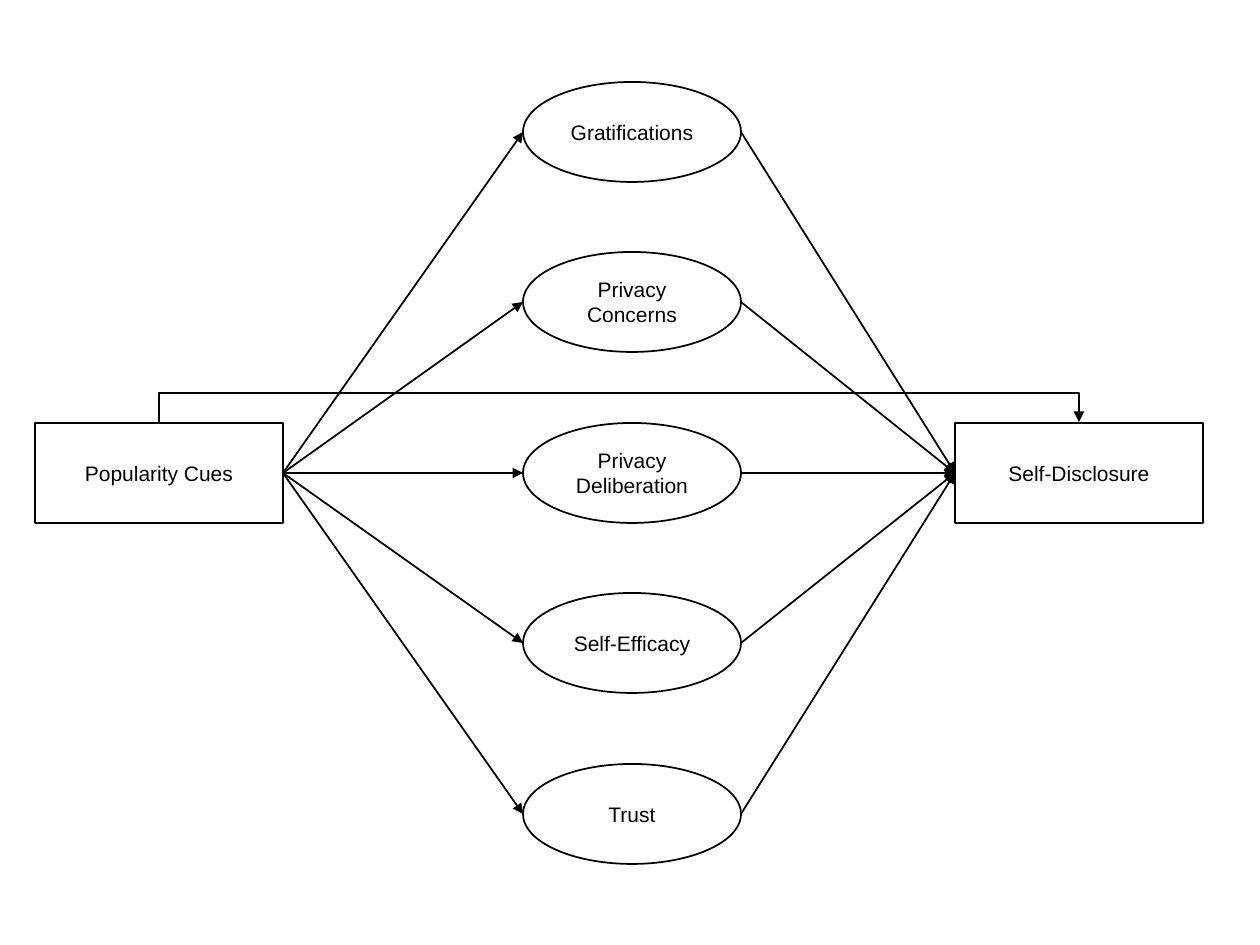
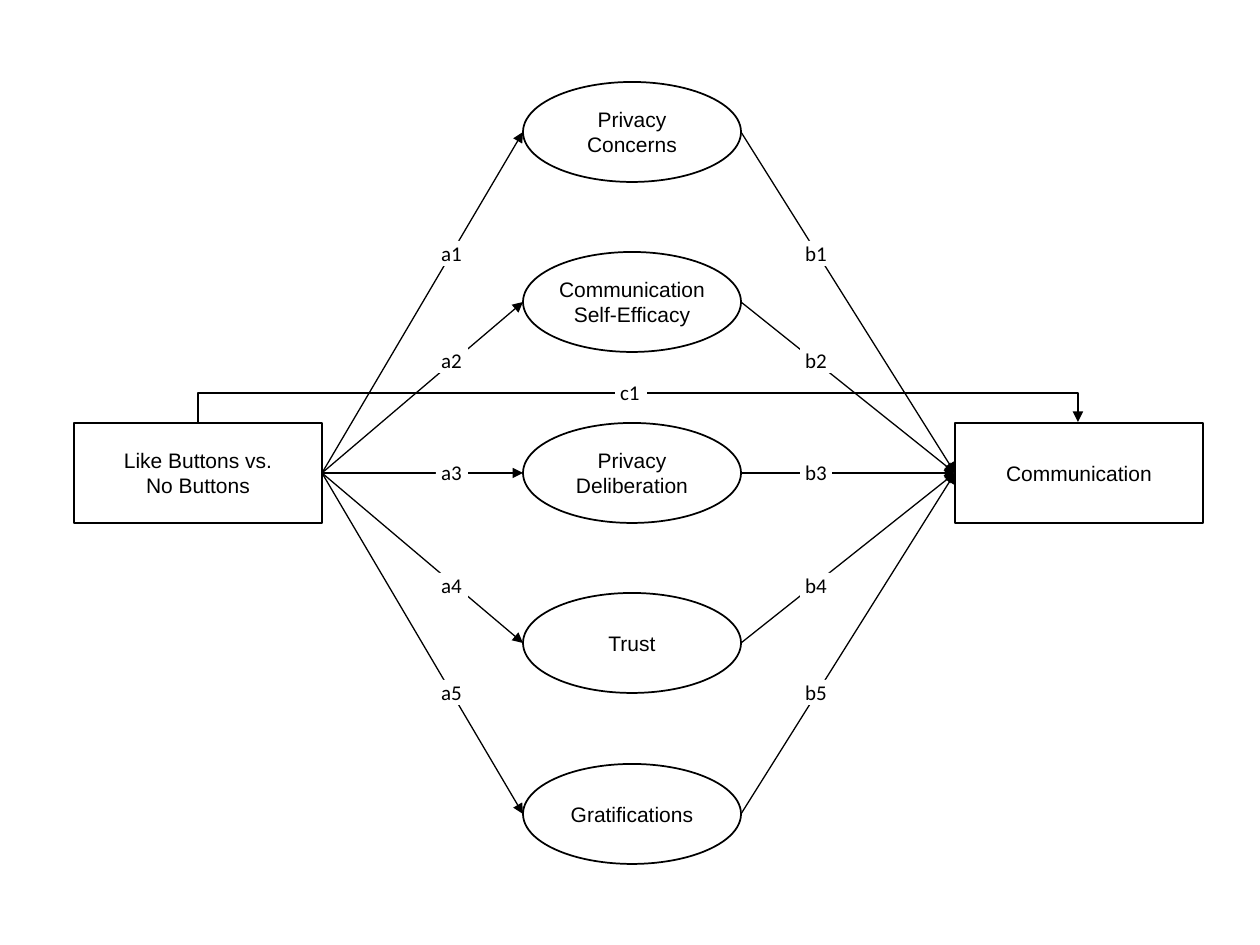
from dataclasses import dataclass

from lxml.etree import SubElement
from pptx import Presentation
from pptx.dml.color import RGBColor
from pptx.enum.shapes import MSO_CONNECTOR, MSO_SHAPE
from pptx.enum.text import MSO_ANCHOR, MSO_AUTO_SIZE, PP_ALIGN
from pptx.oxml.ns import qn
from pptx.shapes.autoshape import Shape
from pptx.shapes.connector import Connector
from pptx.slide import Slide
from pptx.text.text import TextFrame
from pptx.util import Emu, Pt

PX_PER_INCH = 126
SLIDE_W, SLIDE_H = 1260, 945
BLACK = RGBColor(0x00, 0x00, 0x00)
WHITE = RGBColor(0xFF, 0xFF, 0xFF)
NODE_FONT, LABEL_FONT = "Arial", "Calibri"
FONT_SIZE = 12
OUTLINE_PT = 1

NODE_H = 100
BOX_W = 248
OUTCOME_X = 955
MEDIATOR_X, MEDIATOR_W = 523, 218
FIRST_Y, LAST_Y = 132, 814
MIDDLE_Y = (FIRST_Y + LAST_Y) // 2
DIRECT_Y = 393

LABEL_W, LABEL_H, LABEL_INSET = 32, 25, 5
A_LABEL_X, B_LABEL_X, C_LABEL_X = 436, 800, 615
LABEL_TOPS = (241, 348, 460, 573, 680)
C_LABEL_TOP = 380


@dataclass(frozen=True)
class Node:
    paragraphs: tuple[str, ...]
    x: int
    center_y: int
    width: int
    kind: MSO_SHAPE
    inset: int

    @property
    def right(self) -> int:
        return self.x + self.width

    @property
    def center_x(self) -> int:
        return self.x + self.width // 2

    @property
    def top(self) -> int:
        return self.center_y - NODE_H // 2


@dataclass(frozen=True)
class Label:
    text: str
    x: int
    y: int


@dataclass(frozen=True)
class PathModel:
    predictor: Node
    mediators: tuple[Node, ...]
    outcome: Node
    line_pt: float
    labels: tuple[Label, ...] = ()


def px(n: float) -> Emu:
    return Emu(round(n * 914400 / PX_PER_INCH))


def box(x: int, *paragraphs: str) -> Node:
    return Node(paragraphs, x, MIDDLE_Y, BOX_W, MSO_SHAPE.RECTANGLE, 12)


def mediators(*names: str) -> tuple[Node, ...]:
    gaps = len(names) - 1
    return tuple(
        Node((name,), MEDIATOR_X, FIRST_Y + i * (LAST_Y - FIRST_Y) // gaps,
             MEDIATOR_W, MSO_SHAPE.OVAL, 0)
        for i, name in enumerate(names)
    )


def path_labels() -> tuple[Label, ...]:
    columns = (("a", A_LABEL_X), ("b", B_LABEL_X))
    sides = tuple(
        Label(f"{letter}{i}", x, y)
        for letter, x in columns
        for i, y in enumerate(LABEL_TOPS, 1)
    )
    return sides + (Label("c1", C_LABEL_X, C_LABEL_TOP),)


def add_base(s: Slide, kind: MSO_SHAPE, x: int, y: int, w: int, h: int) -> Shape:
    sp = s.shapes.add_shape(kind, px(x), px(y), px(w), px(h))
    sp.shadow.inherit = False
    sp.fill.solid()
    sp.fill.fore_color.rgb = WHITE
    return sp


def write(tf: TextFrame, paragraphs: tuple[str, ...], font: str, align: PP_ALIGN,
          inset_x: int, inset_y: int = 0) -> None:
    tf.margin_left = tf.margin_right = px(inset_x)
    tf.margin_top = tf.margin_bottom = px(inset_y)
    tf.vertical_anchor = MSO_ANCHOR.MIDDLE
    for i, text in enumerate(paragraphs):
        p = tf.add_paragraph() if i else tf.paragraphs[0]
        p.alignment = align
        r = p.add_run()
        r.text = text
        r.font.name = font
        r.font.size = Pt(FONT_SIZE)
        r.font.color.rgb = BLACK


def draw_node(s: Slide, node: Node) -> None:
    sp = add_base(s, node.kind, node.x, node.top, node.width, NODE_H)
    sp.line.color.rgb = BLACK
    sp.line.width = Pt(OUTLINE_PT)
    sp.text_frame.word_wrap = True
    write(sp.text_frame, node.paragraphs, NODE_FONT, PP_ALIGN.CENTER,
          node.inset, node.inset // 2)


def draw_label(s: Slide, label: Label) -> None:
    sp = add_base(s, MSO_SHAPE.RECTANGLE, label.x, label.y, LABEL_W, LABEL_H)
    sp.line.fill.background()
    sp.text_frame.word_wrap = False
    sp.text_frame.auto_size = MSO_AUTO_SIZE.SHAPE_TO_FIT_TEXT
    write(sp.text_frame, (label.text,), LABEL_FONT, PP_ALIGN.LEFT, LABEL_INSET)


def draw_arrow(s: Slide, kind: MSO_CONNECTOR, start: tuple[int, int],
               end: tuple[int, int], line_pt: float) -> Connector:
    c = s.shapes.add_connector(kind, px(start[0]), px(start[1]), px(end[0]), px(end[1]))
    c.line.color.rgb = BLACK
    c.line.width = Pt(line_pt)
    SubElement(c.line._get_or_add_ln(), qn("a:tailEnd"), type="triangle")
    SubElement(c._element.spPr, qn("a:effectLst"))
    return c


def draw_direct_path(s: Slide, model: PathModel) -> None:
    left, right = model.predictor.center_x, model.outcome.center_x
    mid_x, half_span = (left + right) // 2, (right - left) // 2
    y, half_drop = model.predictor.top, 1
    c = draw_arrow(s, MSO_CONNECTOR.ELBOW, (mid_x + half_drop, y + half_span),
                   (mid_x - half_drop, y - half_span), model.line_pt)
    sp_pr = c._element.spPr
    sp_pr.find(qn("a:xfrm")).set("rot", str(90 * 60000))
    bend = (y + half_drop - DIRECT_Y) * 100000 // (2 * half_drop)
    guides = sp_pr.find(qn("a:prstGeom")).find(qn("a:avLst"))
    SubElement(guides, qn("a:gd"), name="adj1", fmla=f"val {bend}")


def draw_model(s: Slide, model: PathModel) -> None:
    source = (model.predictor.right, model.predictor.center_y)
    target = (model.outcome.x, model.outcome.center_y)
    for node in (model.predictor, model.outcome, *model.mediators):
        draw_node(s, node)
    for node in model.mediators:
        y = node.center_y
        draw_arrow(s, MSO_CONNECTOR.STRAIGHT, source, (node.x, y), model.line_pt)
        draw_arrow(s, MSO_CONNECTOR.STRAIGHT, (node.right, y), target, model.line_pt)
    draw_direct_path(s, model)
    for label in model.labels:
        draw_label(s, label)


MODELS = (
    PathModel(
        box(35, "Popularity Cues"),
        mediators("Gratifications", "Privacy Concerns", "Privacy Deliberation",
                  "Self-Efficacy", "Trust"),
        box(OUTCOME_X, "Self-Disclosure"),
        1,
    ),
    PathModel(
        box(74, "Like Buttons vs.", "No Buttons"),
        mediators("Privacy Concerns", "Communication Self-Efficacy",
                  "Privacy Deliberation", "Trust", "Gratifications"),
        box(OUTCOME_X, "Communication"),
        0.75,
        path_labels(),
    ),
)


def main() -> None:
    prs = Presentation()
    prs.slide_width, prs.slide_height = px(SLIDE_W), px(SLIDE_H)
    for model in MODELS:
        draw_model(prs.slides.add_slide(prs.slide_layouts[6]), model)
    prs.save("out.pptx")


if __name__ == "__main__":
    main()
